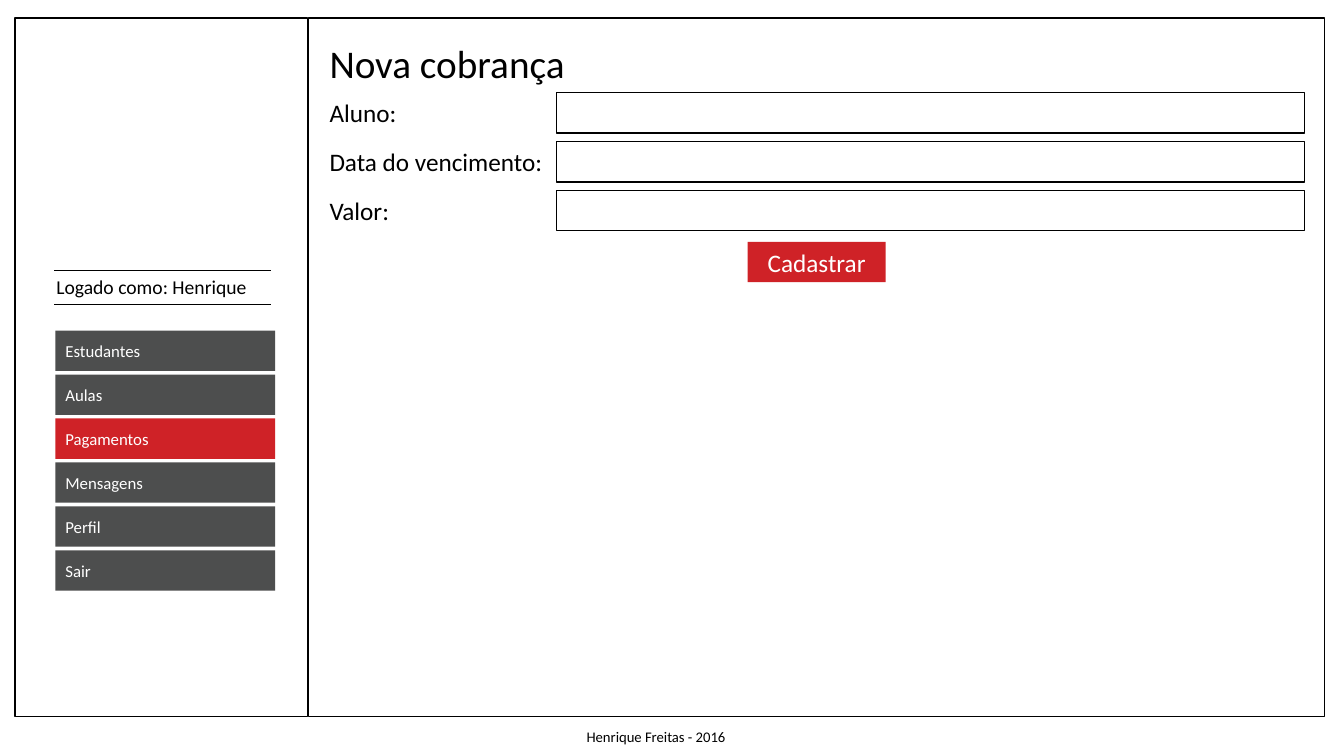
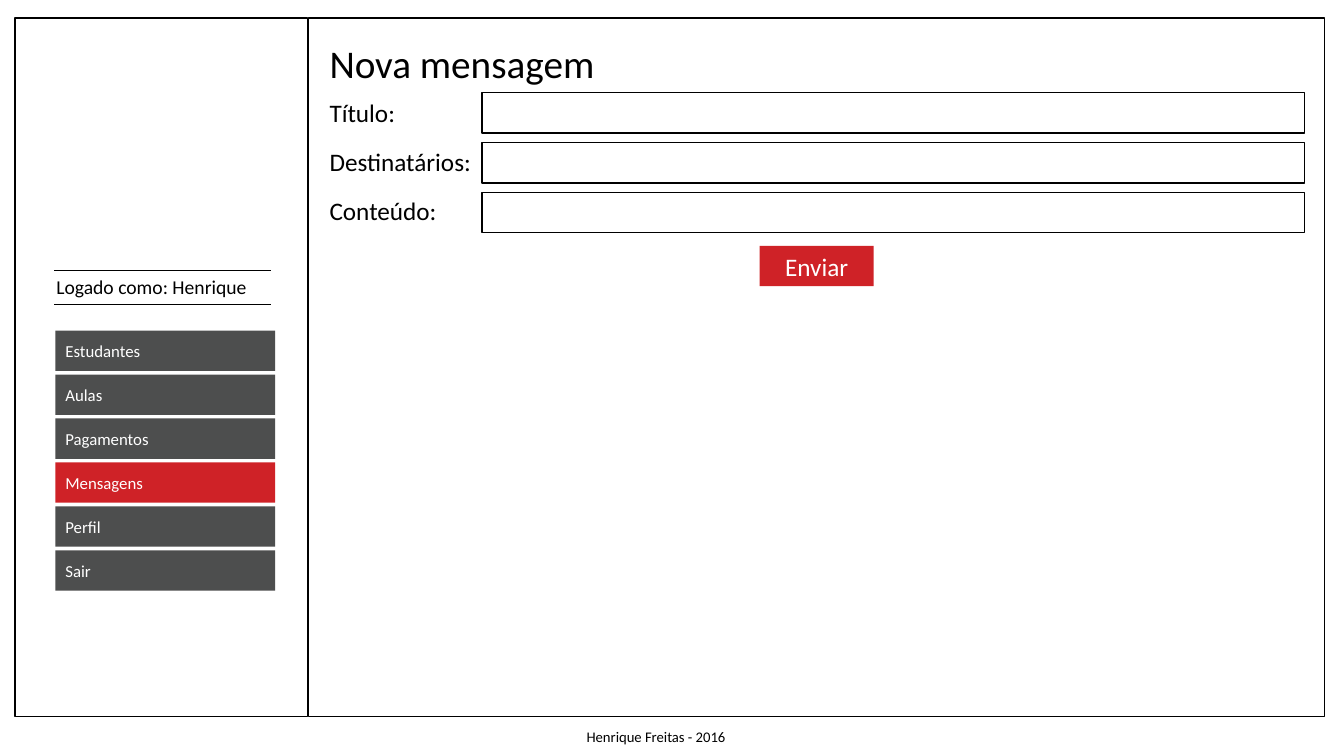
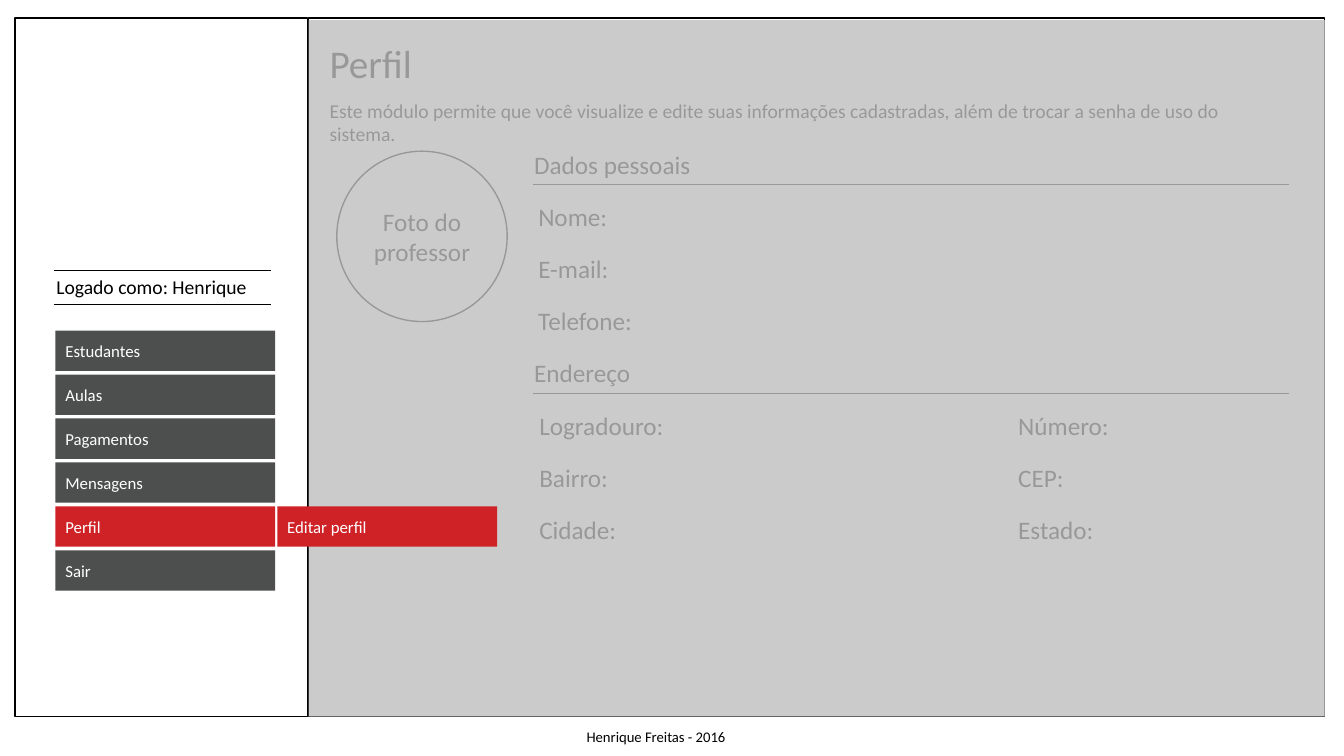
import dataclasses

import lxml.etree
import pptx
import pptx.dml.color
import pptx.enum.shapes
import pptx.enum.text
import pptx.oxml.ns
import pptx.util

ALIGN = pptx.enum.text.PP_ALIGN
ANCHOR = pptx.enum.text.MSO_ANCHOR
SHAPE = pptx.enum.shapes.MSO_SHAPE
MENU = ["Estudantes", "Aulas", "Pagamentos", "Mensagens", "Perfil", "Sair"]


@dataclasses.dataclass(frozen=True)
class Theme:
    font: str = "Calibri"
    ink: str = "000000"
    paper: str = "FFFFFF"
    accent: str = "CF2227"
    item: str = "4D4E4E"
    veil: str = "BFBFBF"
    veil_opacity: int = 80
    title: float = 28
    body: float = 18
    note: float = 14
    menu: float = 12
    footer: float = 10.5
    border: float = 1
    rule: float = 0.5


def grid(n):
    return pptx.util.Inches(n / 10)


def rgb(color):
    return pptx.dml.color.RGBColor.from_string(color)


def write_text(tf, text, *, font, size, color, align=ALIGN.LEFT, anchor=ANCHOR.TOP, wrap=True):
    tf.word_wrap = wrap
    tf.vertical_anchor = anchor
    p = tf.paragraphs[0]
    p.alignment = align
    r = p.add_run()
    r.text = text
    r.font.name = font
    r.font.size = pptx.util.Pt(size)
    r.font.color.rgb = rgb(color)


class Screen:
    panel = (30.6, 1.8, 100.8, 69.3)
    sidebar = (1.5, 1.8, 29, 69.3)
    content_left = 31.7
    field_right = 129.4
    row_height = 4
    menu_left, menu_top, menu_width, menu_pitch = 5.5, 32.8, 21.8, 4.36
    label_pitch = 4.85
    section_pitch = 5.18

    def __init__(self, prs, theme):
        self.prs = prs
        self.theme = theme
        self.slide = None

    def start(self, active):
        self.slide = self.prs.slides.add_slide(self.prs.slide_layouts[6])
        self.box(*self.panel, line=self.theme.ink)
        self.box(*self.sidebar, line=self.theme.ink)
        self.text("Logado como: Henrique", 4.6, 26.8, 21.1, 3.4, self.theme.note)
        for y in (26.8, 30.2):
            self.rule(5.4, 26.9, y)
        self.text("Henrique Freitas - 2016", 57.2, 71.7, 16.1, 2.8, self.theme.footer)
        for row, label in enumerate(MENU):
            self.menu_item(label, row, active=label == active)

    def box(self, x, y, w, h, fill=None, line=None, shape=SHAPE.RECTANGLE):
        sp = self.slide.shapes.add_shape(shape, grid(x), grid(y), grid(w), grid(h))
        sp.shadow.inherit = False
        if fill:
            sp.fill.solid()
            sp.fill.fore_color.rgb = rgb(fill)
        else:
            sp.fill.background()
        if line:
            sp.line.color.rgb = rgb(line)
            sp.line.width = pptx.util.Pt(self.theme.border)
        else:
            sp.line.fill.background()
        return sp

    def text(self, text, x, y, w, h, size, wrap=False):
        sp = self.slide.shapes.add_textbox(grid(x), grid(y), grid(w), grid(h))
        write_text(sp.text_frame, text, font=self.theme.font, size=size,
                   color=self.theme.ink, wrap=wrap)

    def label(self, text, x, y, w):
        self.text(text, x, y, w, self.row_height, self.theme.body)

    def title(self, text, w):
        self.text(text, self.content_left, 3.4, w, 5.7, self.theme.title)

    def rule(self, x1, x2, y):
        line = self.slide.shapes.add_connector(
            pptx.enum.shapes.MSO_CONNECTOR.STRAIGHT, grid(x1), grid(y), grid(x2), grid(y))
        line.line.color.rgb = rgb(self.theme.ink)
        line.line.width = pptx.util.Pt(self.theme.rule)
        lxml.etree.SubElement(line.element.spPr, pptx.oxml.ns.qn("a:effectLst"))

    def menu_item(self, text, row, column=0, active=False):
        x = self.menu_left + column * (self.menu_width + 0.2)
        y = self.menu_top + row * self.menu_pitch
        sp = self.box(x, y, self.menu_width, self.row_height,
                      fill=self.theme.accent if active else self.theme.item)
        write_text(sp.text_frame, text, font=self.theme.font, size=self.theme.menu,
                   color=self.theme.paper, anchor=ANCHOR.MIDDLE)

    def button(self, text, y, w):
        x = self.panel[0] + (self.panel[2] - w) / 2
        sp = self.box(x, y, w, self.row_height, fill=self.theme.accent)
        write_text(sp.text_frame, text, font=self.theme.font, size=self.theme.body,
                   color=self.theme.paper, align=ALIGN.CENTER, anchor=ANCHOR.MIDDLE)

    def form(self, labels, field_left, field_pitch):
        top = 9.2
        for row, (text, w) in enumerate(labels):
            self.label(text, self.content_left, top + row * self.label_pitch, w)
            self.box(field_left, top + row * field_pitch,
                     self.field_right - field_left, self.row_height, line=self.theme.ink)

    def section(self, heading, w, top, columns):
        self.label(heading, 52, top, w)
        self.rule(52.9, 127.8, top + self.row_height)
        for x, labels in columns:
            for row, (text, label_w) in enumerate(labels, 1):
                self.label(text, x, top + row * self.section_pitch, label_w)

    def photo(self, text, x, y, size):
        sp = self.box(x, y, size, size, line=self.theme.ink, shape=SHAPE.OVAL)
        write_text(sp.text_frame, text, font=self.theme.font, size=self.theme.body,
                   color=self.theme.ink, align=ALIGN.CENTER, anchor=ANCHOR.MIDDLE)

    def veil(self):
        x, y, w, h = self.panel
        sp = self.box(x, y + 0.2, w, h - 0.2, fill=self.theme.veil)
        color = sp.element.spPr.find(".//" + pptx.oxml.ns.qn("a:srgbClr"))
        alpha = lxml.etree.SubElement(color, pptx.oxml.ns.qn("a:alpha"))
        alpha.set("val", str(self.theme.veil_opacity * 1000))


def new_charge(screen):
    screen.start("Pagamentos")
    screen.title("Nova cobrança", 25.6)
    screen.form([("Aluno:", 8.7), ("Data do vencimento:", 23.4), ("Valor:", 8)], 55.2, 4.85)
    screen.button("Cadastrar", 24, 13.7)


def new_message(screen):
    screen.start("Mensagens")
    screen.title("Nova mensagem", 28.6)
    screen.form([("Título:", 8.6), ("Destinatários:", 16.2), ("Conteúdo:", 12.8)], 47.8, 4.95)
    screen.button("Enviar", 24.4, 11.3)


def profile(screen):
    screen.start("Perfil")
    screen.title("Perfil", 10.3)
    screen.text("Este módulo permite que você visualize e edite suas informações cadastradas, "
                "além de trocar a senha de uso do sistema.",
                screen.content_left, 9.3, 97.2, 5.6, screen.theme.note, wrap=True)
    screen.photo("Foto do professor", 33.4, 15, 16.9)
    screen.section("Dados pessoais", 17.7, 14.3, [
        (52.4, [("Nome:", 8.9), ("E-mail:", 9.1), ("Telefone:", 11.4)]),
    ])
    screen.section("Endereço", 11.7, 35, [
        (52.5, [("Logradouro:", 14.5), ("Bairro:", 8.9), ("Cidade:", 9.8)]),
        (100, [("Número:", 11.1), ("CEP:", 6.6), ("Estado:", 9.6)]),
    ])
    screen.veil()
    screen.menu_item("Editar perfil", MENU.index("Perfil"), column=1, active=True)


def main():
    prs = pptx.Presentation()
    prs.slide_width = pptx.util.Inches(13.33)
    prs.slide_height = pptx.util.Inches(7.5)
    screen = Screen(prs, Theme())
    for build in (new_charge, new_message, profile):
        build(screen)
    prs.save("out.pptx")


if __name__ == "__main__":
    main()
